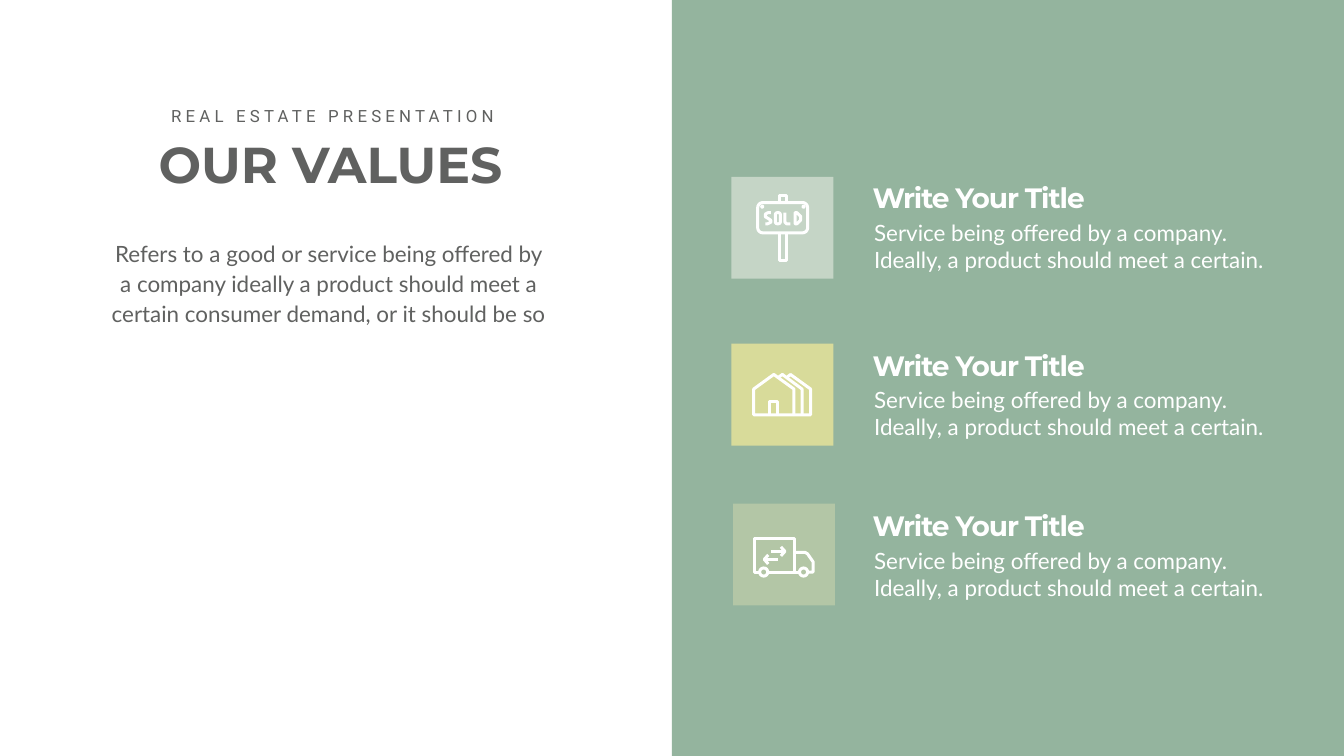
from dataclasses import dataclass
from math import cos, radians, sin

from lxml.etree import SubElement
from pptx import Presentation
from pptx.dml.color import RGBColor
from pptx.enum.shapes import MSO_SHAPE
from pptx.enum.text import MSO_ANCHOR, MSO_AUTO_SIZE, PP_ALIGN
from pptx.oxml.ns import qn
from pptx.util import Pt

EMU_PER_PX = 9144  # 100 px to the inch
SLIDE_W, SLIDE_H = 2666, 1500
TILE = 202
STROKE = 6


@dataclass(frozen=True)
class Theme:
    white: str = "FFFFFF"
    ink: str = "606160"
    panel: str = "94B49E"
    mint: str = "C5D5C6"
    yellow: str = "D8DB9A"
    sage: str = "B3C6A6"
    heading_font: str = "Montserrat"
    body_font: str = "Lato"
    tag_font: str = "Roboto"
    title_size: int = 72
    heading_size: int = 40
    body_size: int = 32
    tag_size: int = 24
    intro_leading: int = 43


THEME = Theme()


def px(n):
    return round(n * EMU_PER_PX)


def rgb(value):
    return RGBColor.from_string(value)


# ---- Outlines: each is a pair (points, closed), relative to its tile ----
def arc(cx, cy, radius, start, end, steps=6):
    angles = [radians(start + (end - start) * i / steps) for i in range(steps + 1)]
    return [(cx + radius * cos(a), cy + radius * sin(a)) for a in angles]


def circle(cx, cy, radius):
    return arc(cx, cy, radius, 0, 360, 24)[:-1], True


def round_box(left, top, right, bottom, radius):
    corners = [(left, top, 1, 1, 180), (right, top, -1, 1, 270),
               (right, bottom, -1, -1, 0), (left, bottom, 1, -1, 90)]
    pts = []
    for x, y, dx, dy, start in corners:
        pts += arc(x + dx * radius, y + dy * radius, radius, start, start + 90)
    return pts, True


def line(*pts):
    return pts, False


def ring(*pts):
    return pts, True


# Each icon is a list of parts, each part a list of outlines
SOLD_SIGN = [
    [round_box(52, 51, 151, 111, 10),
     line((95, 51), (95, 36), (109, 36), (109, 51)),
     line((95, 111), (95, 166), (109, 166), (109, 111))],
    [circle(61, 59, 1)],
    [circle(143, 59, 1)],
    [line((78, 71), (72, 71), (67, 74), (67, 79), (72, 82),
          (78, 86), (78, 90), (72, 93), (67, 93))],
    [round_box(87, 71, 97, 93, 4)],
    [line((106, 71), (106, 90), (109, 93), (117, 93))],
    [ring((126, 71), (130, 71), (137, 78), (137, 86), (130, 93), (126, 93))],
]
HOUSES = [
    [ring((44, 141), (44, 90), (84, 61), (124, 90), (124, 141)),
     line((76, 141), (76, 114), (92, 114), (92, 141)),
     line((94, 66), (101, 61), (140, 90), (140, 141)),
     line((111, 66), (117, 61), (157, 90), (157, 141), (124, 141))],
]
TRUCK = [
    [line((53, 136), (42, 136), (42, 70), (123, 70), (123, 136)),
     line((69, 136), (132, 136)),
     line((123, 97), (143, 97), (148, 100), (159, 116), (159, 136), (148, 136)),
     circle(61, 136, 8), circle(140, 136, 8)],
    [line((75, 95), (103, 95)), line((95, 86), (103, 95), (95, 104))],
    [line((89, 111), (62, 111)), line((70, 102), (62, 111), (70, 120))],
]


# ---- Shared builders ----
def add_rect(shapes, box, color):
    sp = shapes.add_shape(MSO_SHAPE.RECTANGLE, *map(px, box))
    sp.shadow.inherit = False
    sp.fill.solid()
    sp.fill.fore_color.rgb = rgb(color)
    sp.line.fill.background()


def add_outlines(shapes, x, y, outlines):
    builder = None
    for pts, closed in outlines:
        pts = [(px(a), px(b)) for a, b in pts]
        if builder is None:
            builder = shapes.build_freeform(*pts[0], scale=1.0)
        else:
            builder.move_to(*pts[0])
        builder.add_line_segments(pts[1:], close=closed)
    sp = builder.convert_to_shape(px(x), px(y))
    sp.shadow.inherit = False
    sp.fill.background()
    sp.line.color.rgb = rgb(THEME.white)
    sp.line.width = px(STROKE)
    SubElement(sp.line._get_or_add_ln(), qn("a:round"))


def write(sp, box, text, font, size, color, bold=False, align=PP_ALIGN.LEFT,
          inset=(10, 5), tracking=0, leading=None):
    sp.left, sp.top, sp.width, sp.height = map(px, box)
    tf = sp.text_frame
    tf.word_wrap = True
    tf.auto_size = MSO_AUTO_SIZE.NONE
    tf.vertical_anchor = MSO_ANCHOR.TOP
    tf.margin_left = tf.margin_right = px(inset[0])
    tf.margin_top = tf.margin_bottom = px(inset[1])
    p = tf.paragraphs[0]
    p.alignment = align
    if leading:
        p.line_spacing = Pt(leading)
    r = p.add_run()
    r.text = text
    r.font.name = font
    r.font.size = Pt(size)
    r.font.bold = bold
    r.font.color.rgb = rgb(color)
    if tracking:
        r._r.get_or_add_rPr().set("spc", str(tracking))


def add_text(s, box, *args, **style):
    write(s.shapes.add_textbox(*map(px, box)), box, *args, **style)


# ---- Regions ----
def add_intro(s, box):
    x, y, w, _ = box
    center = PP_ALIGN.CENTER
    write(s.shapes.title, (x + 99, y + 55, 729, 131), "OUR VALUES",
          THEME.heading_font, THEME.title_size, THEME.ink, bold=True, align=center)
    add_text(s, (x + 117, y, 701, 50), "REAL ESTATE PRESENTATION",
             THEME.tag_font, THEME.tag_size, THEME.ink, align=center, tracking=600)
    add_text(s, (x, y + 252, w, 199),
             "Refers to a good or service being offered by a company ideally a product "
             "should meet a certain consumer demand, or it should be so",
             THEME.body_font, THEME.body_size, THEME.ink, align=center,
             inset=(24, 12), leading=THEME.intro_leading)


def add_value(s, box, tile_shift, color, icon):
    x, y, w, _ = box
    # Icon tile
    tile_x, tile_y = x + tile_shift[0], y + tile_shift[1]
    group = s.shapes.add_group_shape()
    add_rect(group.shapes, (tile_x, tile_y, TILE, TILE), color)
    for part in icon:
        add_outlines(group.shapes, tile_x, tile_y, part)
    # Heading and description
    add_text(s, (x + 270, y, 459, 77), "Write Your Title", THEME.heading_font,
             THEME.heading_size, THEME.white, bold=True, tracking=-150)
    add_text(s, (x + 259, y + 69, w - 259, 132),
             "Service being offered by a company. Ideally, a product should meet a certain.",
             THEME.body_font, THEME.body_size, THEME.white, inset=(24, 12))


def add_values(s, box):
    x, y, _, _ = box
    add_rect(s.shapes, box, THEME.panel)
    rows = [
        (354, (0, -3), THEME.mint, SOLD_SIGN),
        (686, (0, -4), THEME.yellow, HOUSES),
        (1005, (3, -6), THEME.sage, TRUCK),
    ]
    for top, tile_shift, color, icon in rows:
        add_value(s, (x + 118, y + top, 1086, TILE), tile_shift, color, icon)


def main():
    prs = Presentation()
    prs.slide_width, prs.slide_height = px(SLIDE_W), px(SLIDE_H)
    s = prs.slides.add_slide(prs.slide_layouts[5])
    s.background.fill.solid()
    s.background.fill.fore_color.rgb = rgb(THEME.white)
    half = SLIDE_W // 2
    add_values(s, (half, 0, half, SLIDE_H))
    add_intro(s, (192, 205, 920, 451))
    prs.save("out.pptx")


if __name__ == "__main__":
    main()
